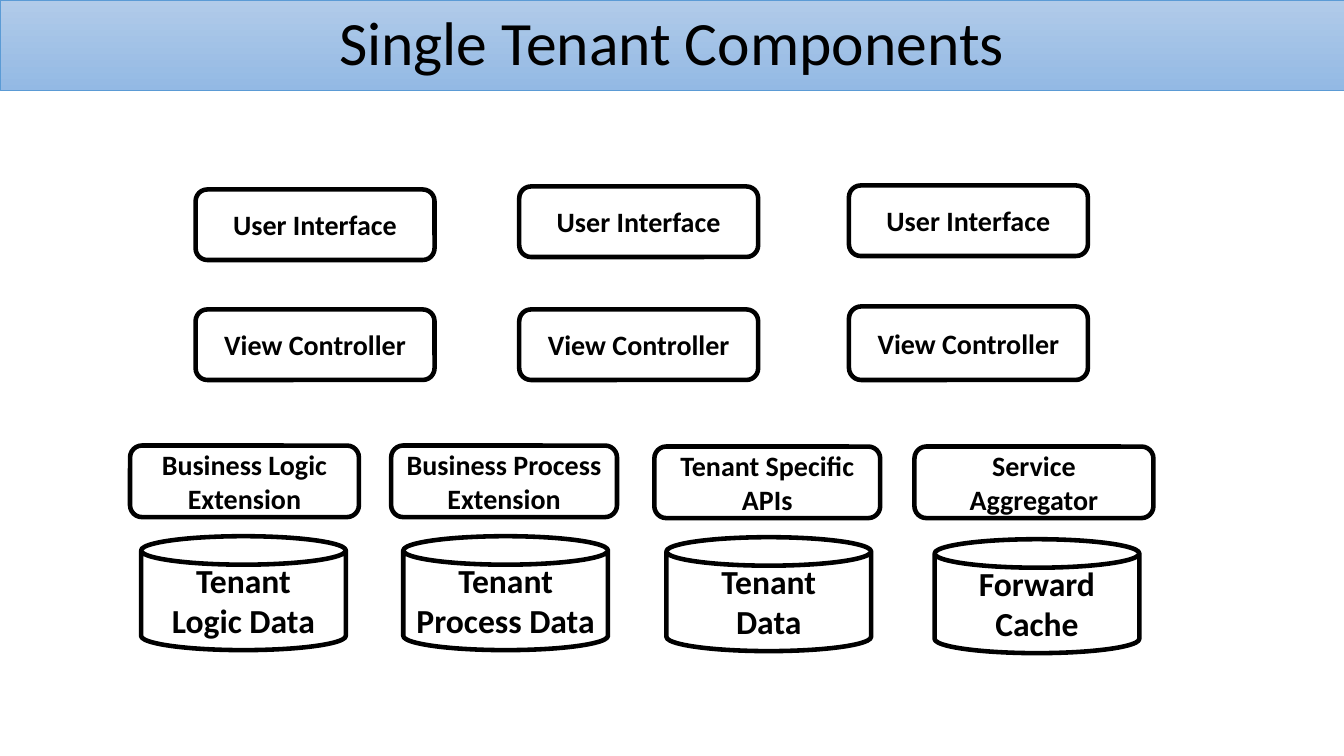
"""Build the slide of single tenant components."""
from pptx import Presentation
from pptx import util as u
from pptx.dml.color import RGBColor
from pptx.enum import shapes, text

INK = {"text": "000000", "edge": "5B9BD5", "top": "B1CBE9", "base": "93B9E4"}
BOX = shapes.MSO_SHAPE.ROUNDED_RECTANGLE
CAN = shapes.MSO_SHAPE.CAN


def tone(name):
    return RGBColor.from_string(INK[name])


def write(shape, lines, size, bold):
    frame = shape.text_frame
    frame.word_wrap = True
    frame.vertical_anchor = text.MSO_ANCHOR.MIDDLE
    for i, line in enumerate(lines):
        para = frame.add_paragraph() if i else frame.paragraphs[0]
        para.alignment = text.PP_ALIGN.CENTER
        run = para.add_run()
        run.text = line
        run.font.name = "Calibri"
        run.font.size = u.Pt(size)
        run.font.bold = bold
        run.font.color.rgb = tone("text")


deck = Presentation()
deck.slide_width = u.Inches(13.33)
deck.slide_height = u.Inches(7.5)
slide = deck.slides.add_slide(deck.slide_layouts[5])

title = slide.shapes.title
title.left = title.top = 0
title.width = deck.slide_width
title.height = int(deck.slide_height * 0.12)
title.fill.gradient()
title.fill.gradient_angle = 270
for stop, name in zip(title.fill.gradient_stops, ("top", "base")):
    stop.color.rgb = tone(name)
title.line.color.rgb = tone("edge")
title.line.width = u.Pt(0.5)
write(title, ["Single Tenant Components"], 44, False)
title.text_frame.auto_size = text.MSO_AUTO_SIZE.NONE
title.text_frame.paragraphs[0].line_spacing = 0.9

parts = []
for left, top, mid, high in (
    (1.94, 1.88, 3.07, 0.7),
    (5.15, 1.85, 3.07, 0.7),
    (8.42, 1.84, 3.04, 0.73),
):
    parts.append((BOX, left, top, 2.37, 0.7, ["User Interface"]))
    parts.append((BOX, left, mid, 2.37, high, ["View Controller"]))

for left, top, wide, label, inset, low, store in (
    (1.29, 4.42, 2.27, "Business Logic Extension", 0.11, 5.32, ["Tenant", "Logic Data"]),
    (3.88, 4.42, 2.24, "Business Process Extension", 0.12, 5.32, ["Tenant", "Process Data"]),
    (6.49, 4.43, 2.24, "Tenant Specific APIs", 0.12, 5.33, ["Tenant", "Data"]),
    (9.07, 4.43, 2.37, "Service Aggregator", 0.2, 5.35, ["Forward", "Cache"]),
):
    parts.append((BOX, left, top, wide, 0.71, [label]))
    parts.append((CAN, left + inset, low, 2.03, 1.13, store))

for kind, left, top, wide, high, lines in parts:
    shape = slide.shapes.add_shape(kind, *map(u.Inches, (left, top, wide, high)))
    shape.shadow.inherit = False
    shape.fill.background()
    shape.line.color.rgb = tone("text")
    shape.line.width = u.Pt(3.25)
    write(shape, lines, 24 if kind == CAN else 20, True)

deck.save("out.pptx")
